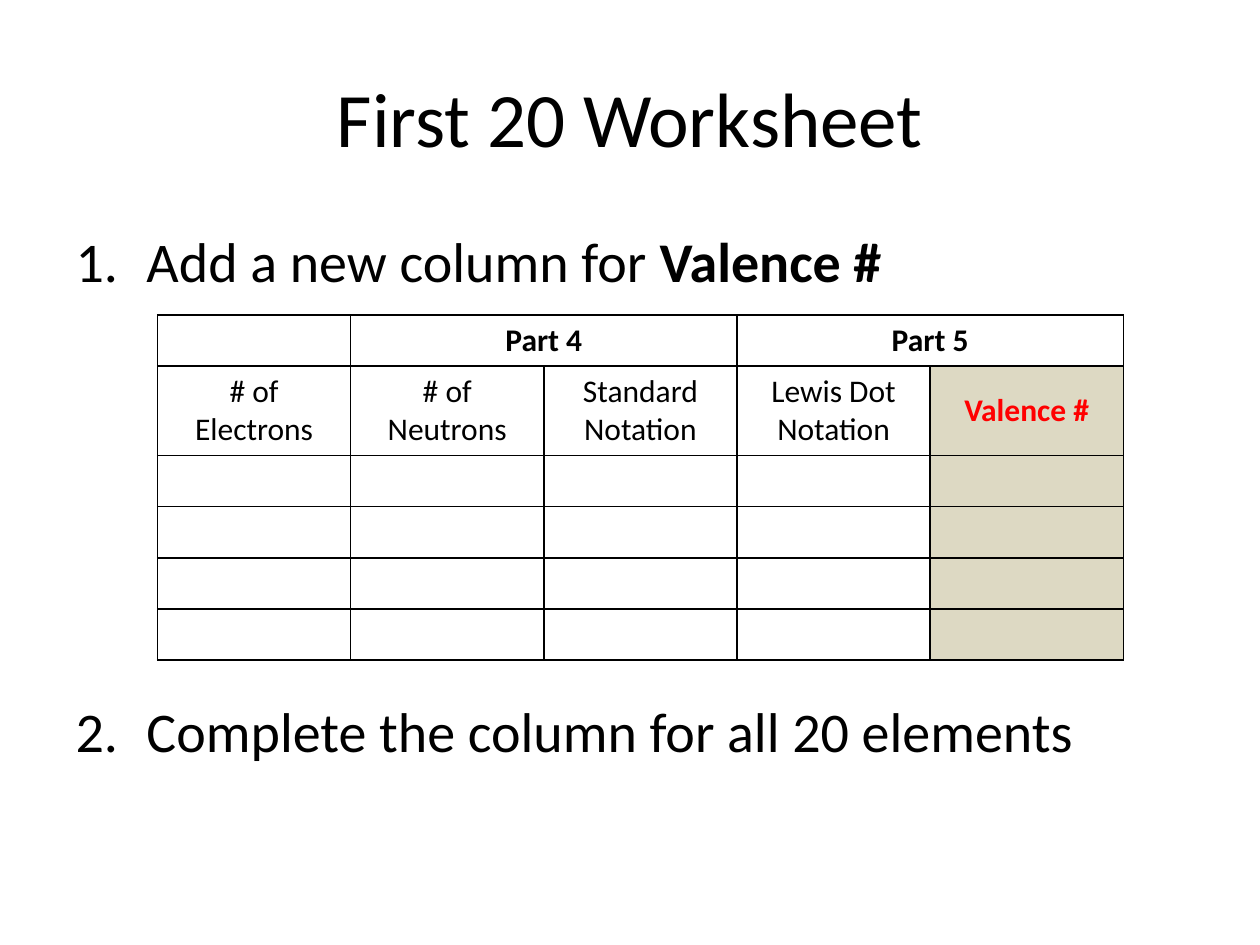
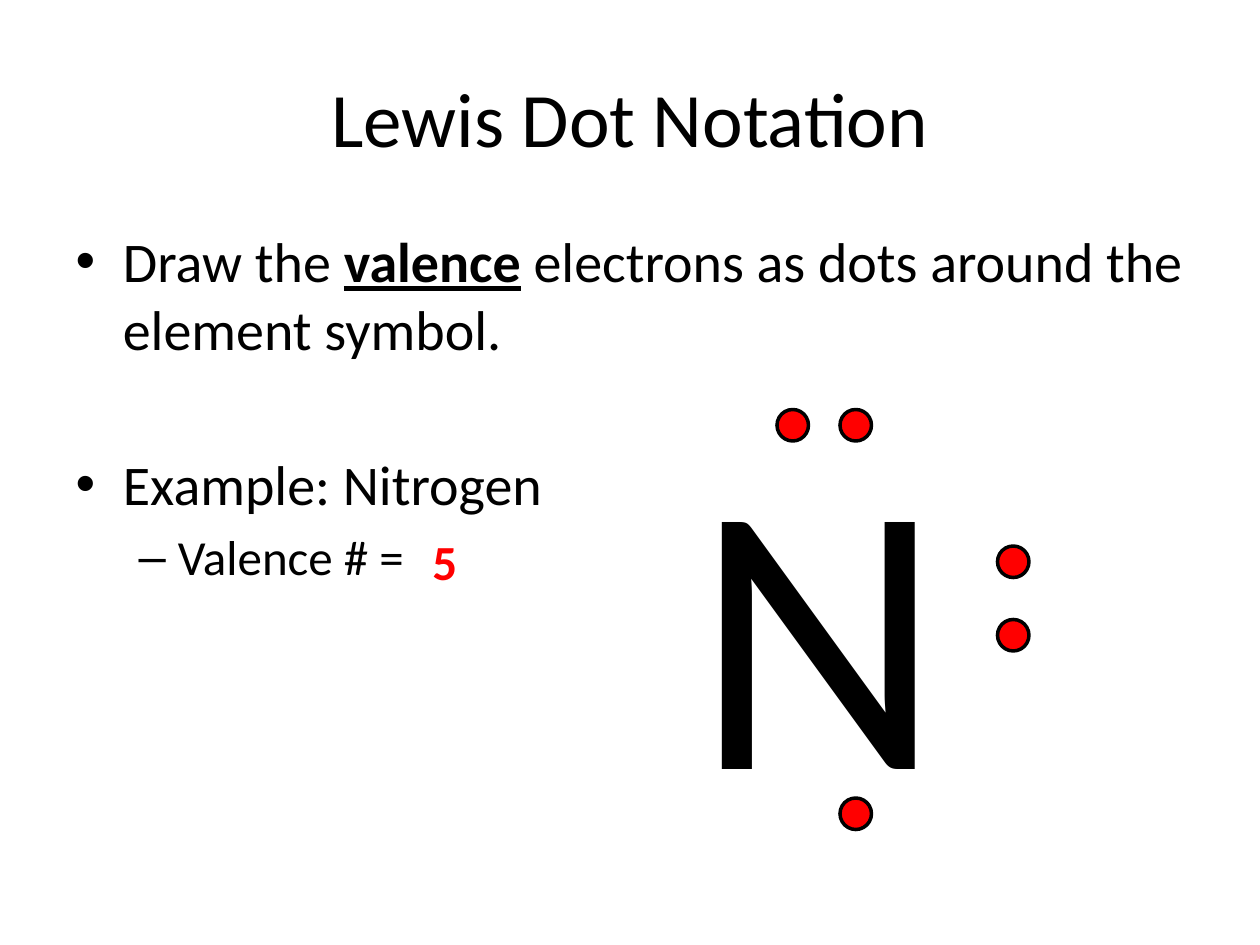
from lxml import etree
from pptx import Presentation
from pptx import util as u
from pptx.dml.color import RGBColor
from pptx.enum import shapes, text
from pptx.oxml.ns import qn

Pt = u.Pt
FONT = "Calibri"
COLORS = {"ink": "000000", "accent": "FF0000", "shade": "DDD9C3"}
TITLE_BOX = (36, 21.6, 648, 90)
BODY_BOX = (36, 126, 648, 356.4)


def rgb(name):
    return RGBColor.from_string(COLORS[name])


def style(r, size, color="ink", **formats):
    r.font.color.rgb = rgb(color)
    for key, value in {"name": FONT, "size": Pt(size), **formats}.items():
        setattr(r.font, key, value)


def place(sp, box):
    for key, value in zip(("left", "top", "width", "height"), box):
        setattr(sp, key, Pt(value))


def add_page(prs, title):
    s = prs.slides.add_slide(prs.slide_layouts[1])
    place(s.shapes.title, TITLE_BOX)
    tf = s.shapes.title.text_frame
    tf.vertical_anchor = text.MSO_ANCHOR.MIDDLE
    p = tf.paragraphs[0]
    p.alignment = text.PP_ALIGN.CENTER
    r = p.add_run()
    r.text = title
    style(r, 44)
    return s


def add_list(s, box, items, numbered=False):
    body = s.placeholders[1]
    place(body, box)
    tf = body.text_frame
    for i, (level, gap, runs) in enumerate(items):
        p = tf.paragraphs[0] if i == 0 else tf.add_paragraph()
        p.level = level
        if gap:
            p.space_before = Pt(gap)
        if numbered:
            pPr = p._p.get_or_add_pPr()
            pPr.set("marL", str(Pt(40.5)))
            pPr.set("indent", str(Pt(-40.5)))
            etree.SubElement(pPr, qn("a:buFont"), typeface="+mj-lt")
            etree.SubElement(pPr, qn("a:buAutoNum"), type="arabicPeriod")
        for words, formats in runs:
            r = p.add_run()
            r.text = words
            style(r, 28 if level else 32, **formats)


def border_cell(cell):
    tcPr = cell._tc.get_or_add_tcPr()
    for i, side in enumerate(("lnL", "lnR", "lnT", "lnB")):
        ln = etree.Element(qn("a:" + side), w=str(Pt(1)))
        fill = etree.SubElement(ln, qn("a:solidFill"))
        etree.SubElement(fill, qn("a:srgbClr"), val=COLORS["ink"])
        tcPr.insert(i, ln)


def add_worksheet(s, box, headings, groups, n_rows):
    n_cols = len(headings)
    x, y, w, h = box
    table = s.shapes.add_table(n_rows, n_cols, *map(Pt, box)).table
    table.first_row = table.horz_banding = False
    for col in table.columns:
        col.width = Pt(w / n_cols)
    for row in table.rows:
        row.height = Pt(h / n_rows)
    for first, _ in groups:
        table.cell(0, first).merge(table.cell(0, first + 1))
    labels = {(0, first): label for first, label in groups}
    labels.update({(1, c): label for c, label in enumerate(headings)})
    for row in range(n_rows):
        for c in range(n_cols):
            cell = table.cell(row, c)
            new = row > 0 and c == n_cols - 1
            if new:
                cell.fill.solid()
                cell.fill.fore_color.rgb = rgb("shade")
                cell.vertical_anchor = text.MSO_ANCHOR.MIDDLE
            else:
                cell.fill.background()
            border_cell(cell)
            if (row, c) in labels:
                p = cell.text_frame.paragraphs[0]
                p.text = labels[row, c]
                p.alignment = text.PP_ALIGN.CENTER
                for r in p.runs:
                    style(r, 18, "accent" if new else "ink", bold=row == 0 or new)


def add_label(s, box, words, size, **formats):
    tf = s.shapes.add_textbox(*map(Pt, box)).text_frame
    tf.word_wrap = False
    tf.auto_size = text.MSO_AUTO_SIZE.SHAPE_TO_FIT_TEXT
    r = tf.paragraphs[0].add_run()
    r.text = words
    style(r, size, **formats)


def add_lewis_symbol(s, box, symbol, dots, size=18):
    x, y, w, h = box
    add_label(s, box, symbol, 220)
    for dx, dy in dots:
        dot = s.shapes.add_shape(shapes.MSO_SHAPE.OVAL, Pt(x + dx), Pt(y + dy), Pt(size), Pt(size))
        dot.shadow.inherit = False
        dot.fill.solid()
        dot.fill.fore_color.rgb = rgb("accent")
        dot.line.color.rgb = rgb("ink")
        dot.line.width = Pt(2)


def worksheet_slide(prs):
    s = add_page(prs, "First 20 Worksheet")
    add_list(s, BODY_BOX, [
        (0, None, [("Add a new column for ", {}), ("Valence #", {"bold": True})]),
        (0, 230, [("Complete the column for all 20 elements", {})]),
    ], numbered=True)
    headings = ["# of Electrons", "# of Neutrons", "Standard Notation",
                "Lewis Dot\vNotation", "Valence #"]
    add_worksheet(s, (90, 180, 552, 175.2), headings, [(1, "Part 4"), (3, "Part 5")], 6)


def notation_slide(prs):
    s = add_page(prs, "Lewis Dot Notation")
    add_list(s, BODY_BOX, [
        (0, None, [("Draw the ", {}), ("valence", {"bold": True, "underline": True}),
                   (" electrons as dots around the element symbol.", {})]),
        (0, 50.6, [("Example: Nitrogen", {})]),
        (1, None, [("Valence # =", {})]),
    ])
    add_lewis_symbol(s, (390, 216, 157.7, 273.6), "N",
                     [(54, 18), (90, 18), (180, 96), (180, 138), (90, 240)])
    add_label(s, (240, 300, 28.8, 41), "5", 28, color="accent", bold=True)


prs = Presentation()
prs.slide_width, prs.slide_height = Pt(720), Pt(540)
worksheet_slide(prs)
notation_slide(prs)
prs.save("out.pptx")
